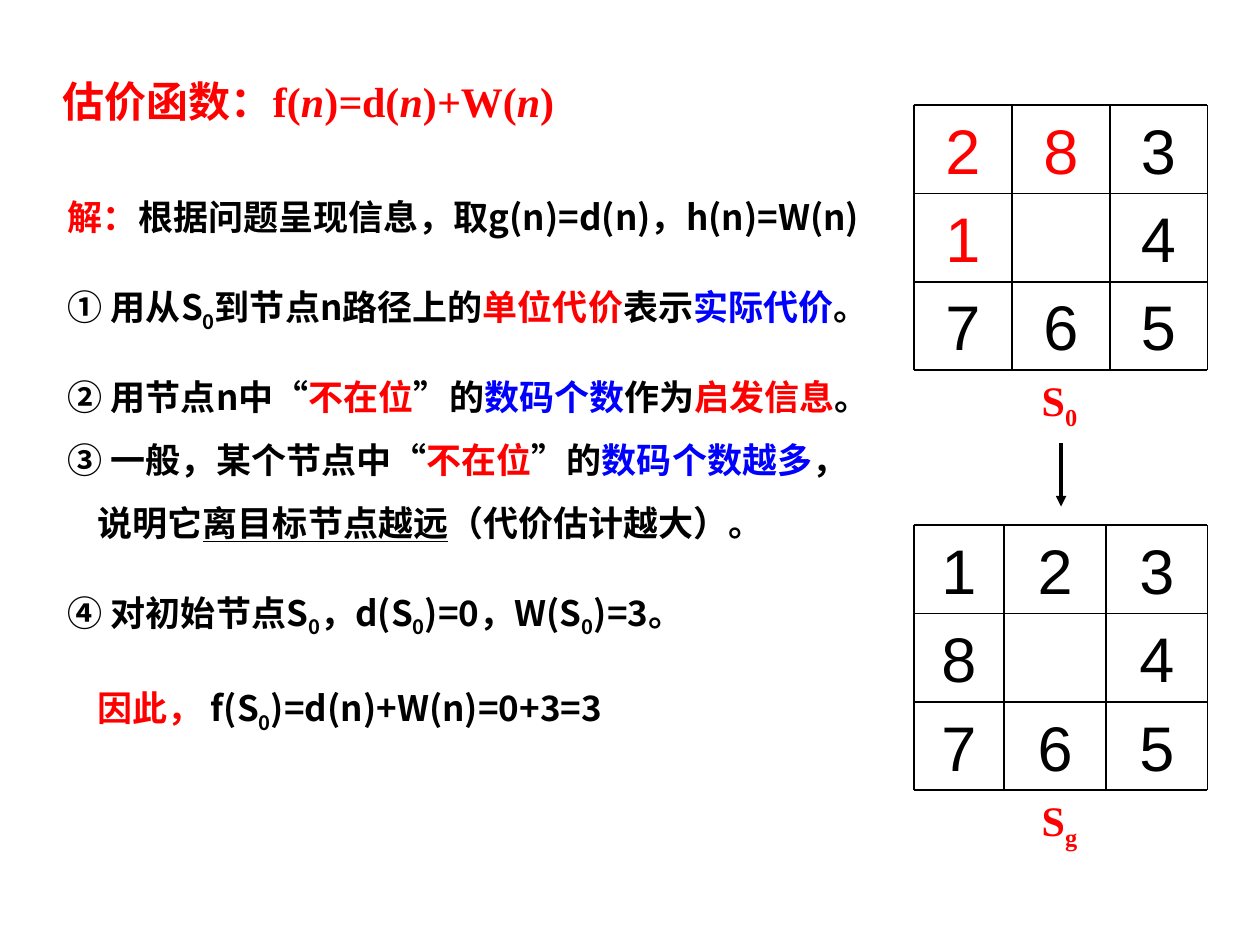
from itertools import product

from lxml.etree import SubElement
from pptx import Presentation
from pptx.dml.color import RGBColor
from pptx.enum.shapes import MSO_CONNECTOR
from pptx.enum.text import PP_ALIGN
from pptx.oxml.ns import qn
from pptx.util import Cm, Pt

COLORS = {"black": "000000", "red": "FF0000", "blue": "0000FF"}
CJK, SANS, SERIF = "Noto Sans CJK SC", "Arial", "Times New Roman"
RED, BLUE = {"color": "red"}, {"color": "blue"}
SUB, ITALIC, QUOTE = {"sub": True}, {"italic": True}, {"font": SANS}
HANG, INSET = 0.97, 0.6
ROW_H = 1.78

# Body paragraphs: left margin, first-line indent, line spacing, runs
BODY = [
    (HANG, -HANG, 2, [("解：", RED), ("根据问题呈现信息，取g(n)=d(n)，h(n)=W(n)", {})]),
    (HANG, -HANG, 2, [("① 用从S", {}), ("0", SUB), ("到节点n路径上的", {}),
                      ("单位代价", RED), ("表示", {}), ("实际代价", BLUE), ("。", {})]),
    (HANG, -HANG, 2, [("② 用节点n中", {}), ("“", QUOTE), ("不在位", RED), ("”", QUOTE),
                      ("的", {}), ("数码个数", BLUE), ("作为", {}),
                      ("启发信息", RED), ("。", {})]),
    (HANG, -HANG, 1.5, [("③ 一般，某个节点中", {}), ("“", QUOTE), ("不在位", RED),
                        ("”的", QUOTE), ("数码个数越多", BLUE), ("，", {})]),
    (INSET, 0, 1.5, [("说明它", {}), ("离目标节点越远", {"underline": True}),
                     ("（代价估计越大）。", {})]),
    (HANG, -HANG, 2, [("④ 对初始节点S", {}), ("0", SUB), ("，d(S", {}), ("0", SUB),
                      (")=0，W(S", {}), ("0", SUB), (")=3。", {})]),
    (INSET, 0, 2, [("因此， ", RED), ("f(S", {}), ("0", SUB),
                   (")=d(n)+W(n)=0+3=3", {})]),
]
TITLE = [("估价函数：f(", {}), ("n", ITALIC), (")", {}), ("=", ITALIC), ("d(", {}),
         ("n", ITALIC), (")", {}), ("+", ITALIC), ("W(", {}), ("n", ITALIC), (")", {})]


def add_run(p, text, size, font, color="black", bold=False, italic=False,
            underline=False, sub=False):
    r = p.add_run()
    r.text = text
    f = r.font
    f.size, f.name, f.bold, f.italic = Pt(size), font, bold, italic
    f.underline = underline
    f.color.rgb = RGBColor.from_string(COLORS[color])
    rPr = r._r.get_or_add_rPr()
    SubElement(rPr, qn("a:ea")).set("typeface", CJK)
    if sub:
        rPr.set("baseline", "-25000")


def add_text(shapes, x, y, w, h, inset=True, wrap=True):
    tf = shapes.add_textbox(Cm(x), Cm(y), Cm(w), Cm(h)).text_frame
    tf.word_wrap = wrap
    if not inset:
        tf.margin_left = tf.margin_top = tf.margin_right = tf.margin_bottom = 0
    return tf


def add_line(shapes, x1, y1, x2, y2, width=1, arrow=False):
    c = shapes.add_connector(MSO_CONNECTOR.STRAIGHT, Cm(x1), Cm(y1), Cm(x2), Cm(y2))
    c.line.width = Pt(width)
    c.line.color.rgb = RGBColor.from_string(COLORS["black"])
    if arrow:
        SubElement(c.line._get_or_add_ln(), qn("a:tailEnd")).set("type", "triangle")
    SubElement(c._element.spPr, qn("a:effectLst"))


def add_body(shapes):
    tf = add_text(shapes, 1.37, 3.1, 16.2, 11.05, inset=False)
    for i, (margin, indent, spacing, runs) in enumerate(BODY):
        p = tf.add_paragraph() if i else tf.paragraphs[0]
        p.line_spacing = spacing
        pPr = p._p.get_or_add_pPr()
        pPr.set("marL", str(Cm(margin)))
        pPr.set("indent", str(Cm(indent)))
        for text, style in runs:
            add_run(p, text, 20, **{"font": CJK, "bold": True, **style})


def add_puzzle(shapes, top, xs, rows, subscript, misplaced=""):
    """Draw a 3 x 3 board with its state label, as one group."""
    group = shapes.add_group_shape().shapes
    ys = [top + i * ROW_H for i in range(4)]
    # Digits
    for row, col in product(range(3), repeat=2):
        digit = rows[row][col]
        if digit == " ":
            continue
        tf = add_text(group, xs[col], ys[row], xs[col + 1] - xs[col], ROW_H)
        p = tf.paragraphs[0]
        p.alignment = PP_ALIGN.CENTER
        add_run(p, digit, 36, SANS, "red" if digit in misplaced else "black")
    # Grid lines
    for y in ys:
        add_line(group, xs[0], y, xs[-1], y)
    for x in xs:
        add_line(group, x, ys[0], x, ys[-1])
    # State label
    p = add_text(group, 20.75, top + 5.3, 1.27, 1.27, wrap=False).paragraphs[0]
    add_run(p, "S", 24, SERIF, "red", bold=True)
    add_run(p, subscript, 24, SERIF, "red", bold=True, sub=True)


def main():
    prs = Presentation()
    prs.slide_width, prs.slide_height = Cm(25.4), Cm(19.05)
    shapes = prs.slides.add_slide(prs.slide_layouts[6]).shapes

    # Explanation
    add_body(shapes)

    # Start and goal boards, joined by an arrow
    add_puzzle(shapes, 2.12, [18.42, 20.4, 22.37, 24.34],
               ["283", "1 4", "765"], "0", misplaced="281")
    add_puzzle(shapes, 10.59, [18.42, 20.24, 22.3, 24.34],
               ["123", "8 4", "765"], "g")
    add_line(shapes, 21.39, 8.94, 21.39, 10.21, width=2, arrow=True)

    # Title
    p = add_text(shapes, 1.27, 1.52, 10.59, 1.02, inset=False).paragraphs[0]
    for text, style in TITLE:
        add_run(p, text, 24, SERIF, "red", bold=True, **style)

    prs.save("out.pptx")


if __name__ == "__main__":
    main()
